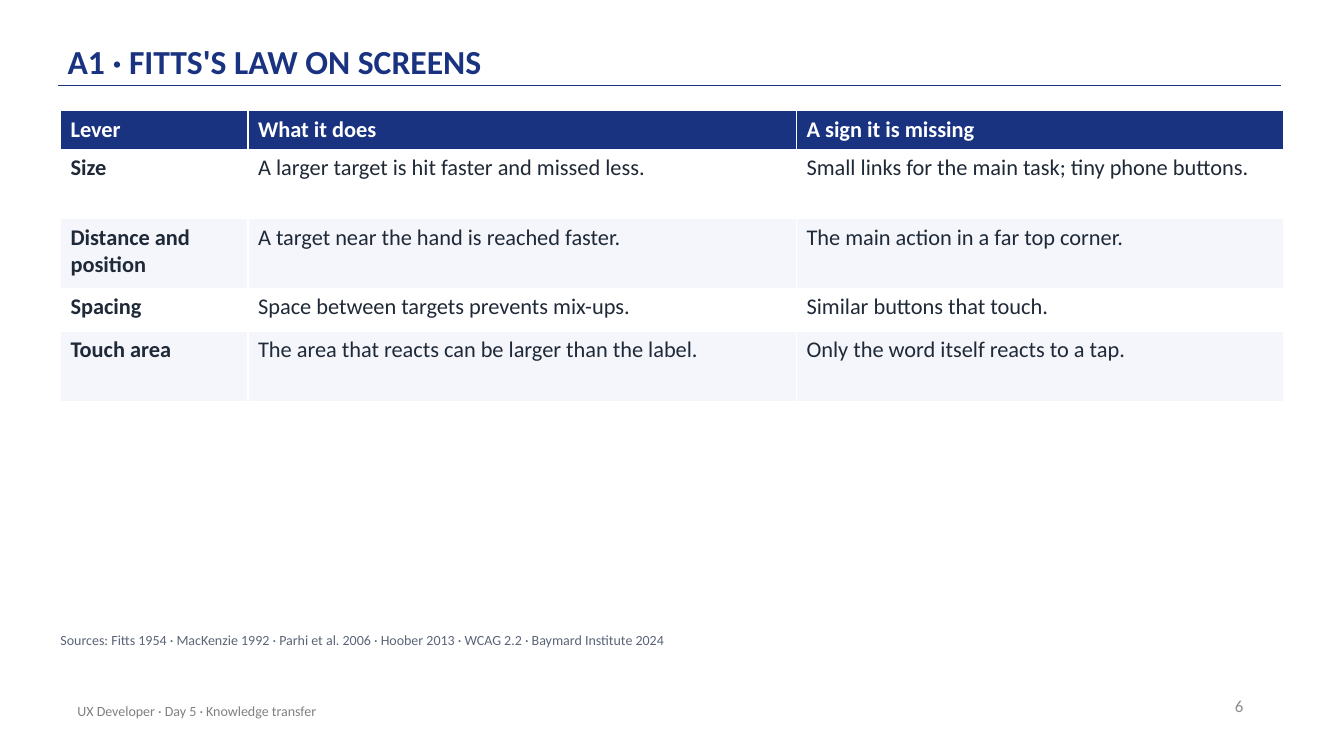
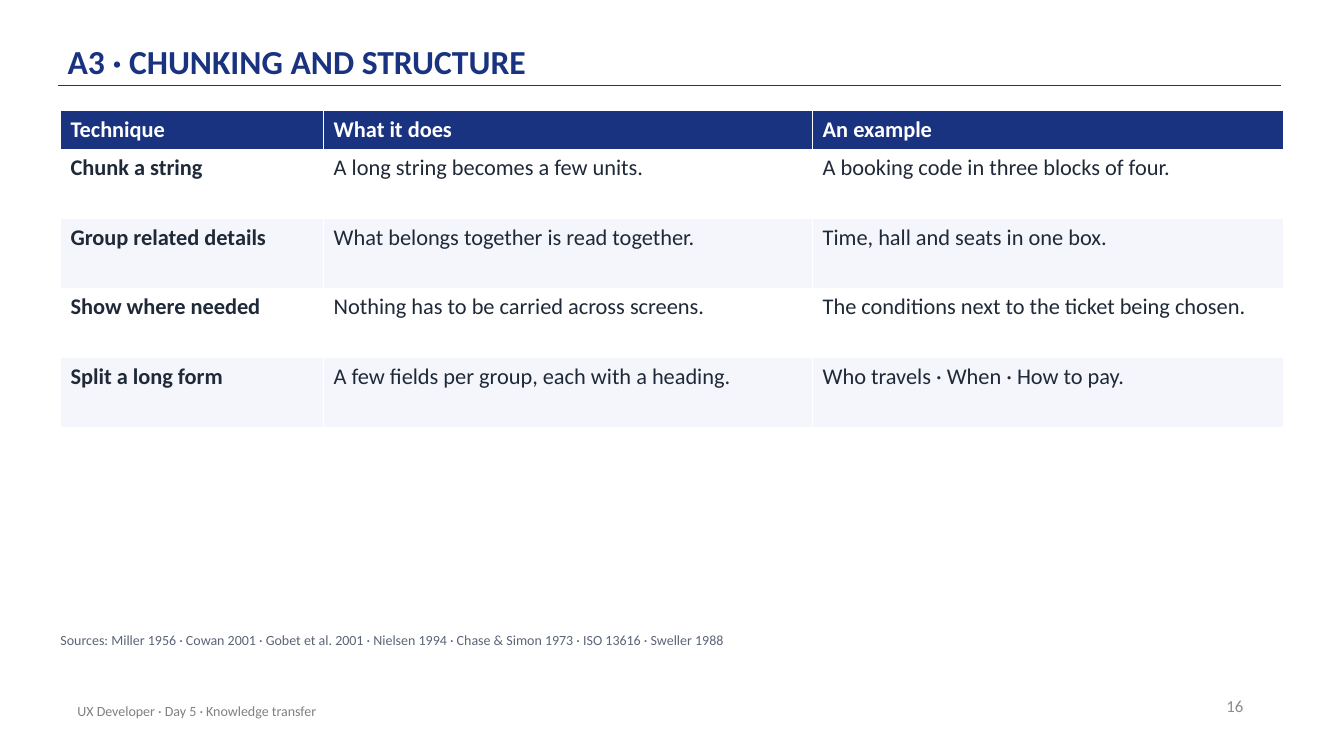
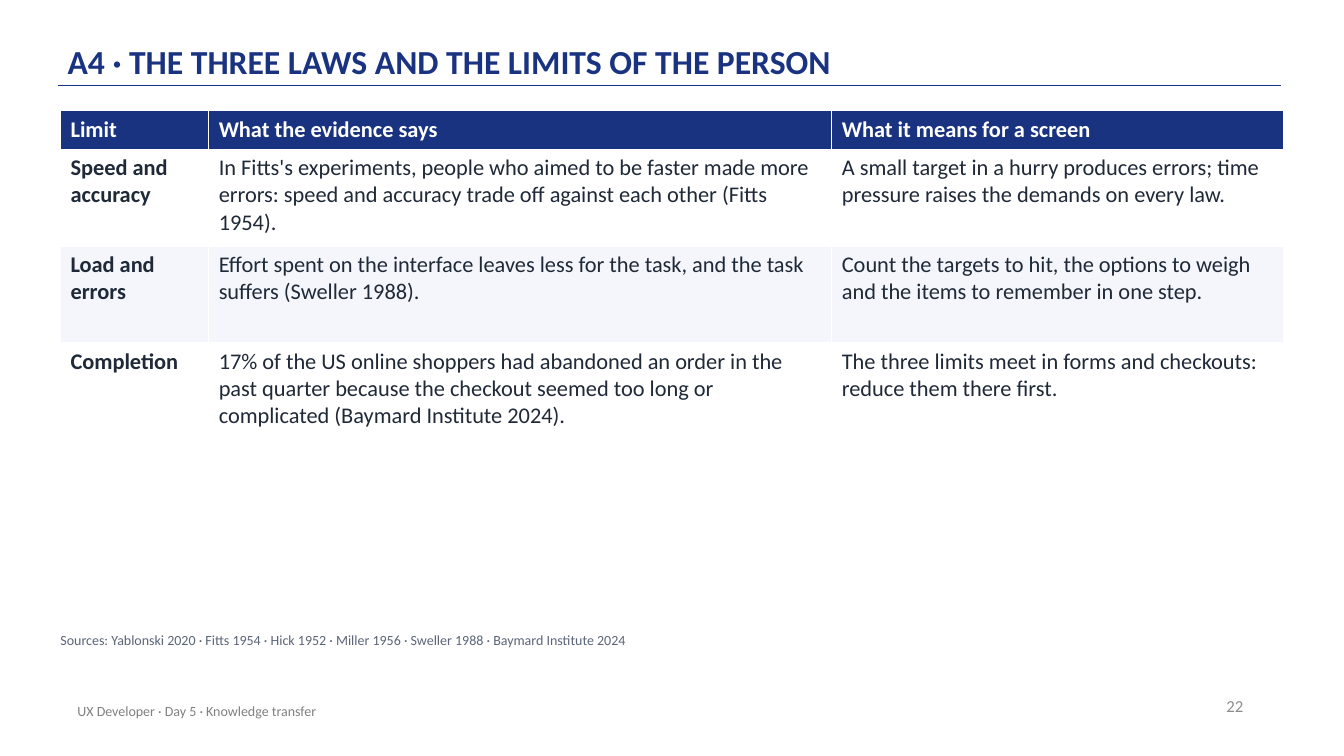
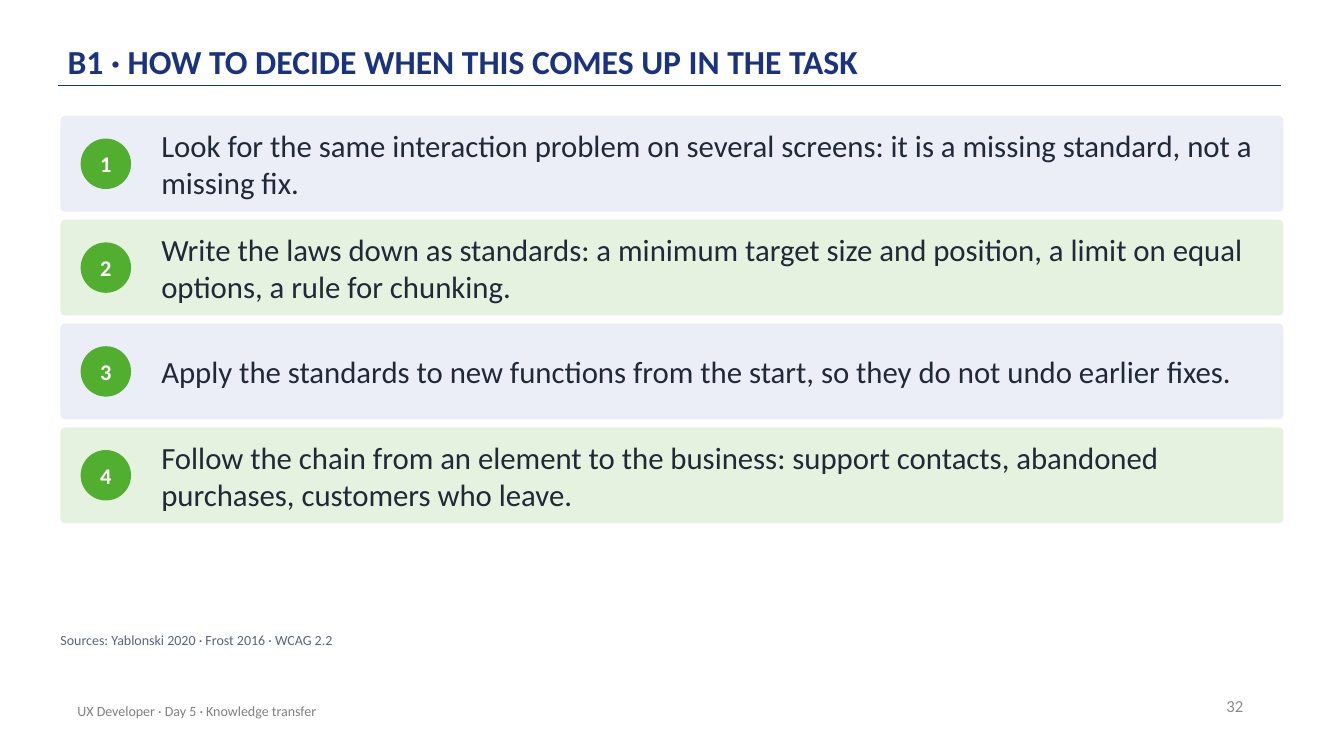
from lxml.etree import SubElement
from pptx import Presentation
from pptx.dml.color import RGBColor
from pptx.enum.shapes import MSO_CONNECTOR, MSO_SHAPE
from pptx.enum.text import MSO_ANCHOR, MSO_AUTO_SIZE, PP_ALIGN
from pptx.oxml.ns import qn
from pptx.util import Inches, Pt

FONT = "Calibri"
NAVY = RGBColor(0x1A, 0x33, 0x81)
INK = RGBColor(0x1F, 0x29, 0x37)
SLATE = RGBColor(0x5B, 0x65, 0x77)
GREY = RGBColor(0x80, 0x80, 0x80)
LIGHT_GREY = RGBColor(0x8C, 0x8C, 0x8C)
WHITE = RGBColor(0xFF, 0xFF, 0xFF)
PALE_ROW = RGBColor(0xF4, 0xF6, 0xFB)
PALE_BLUE = RGBColor(0xEC, 0xEE, 0xF7)
PALE_GREEN = RGBColor(0xE5, 0xF2, 0xDF)
GREEN = RGBColor(0x51, 0xAE, 0x2F)

LEFT = 0.6
CONTENT_WIDTH = 12.13
TITLE_ONLY = 5
FOOTER = "UX Developer · Day 5 · Knowledge transfer"

TABLE_SLIDES = [
    {
        "title": "A1 · FITTS'S LAW ON SCREENS",
        "number": 6,
        "sources": "Sources: Fitts 1954 · MacKenzie 1992 · Parhi et al. 2006 · Hoober 2013"
                   " · WCAG 2.2 · Baymard Institute 2024",
        "columns": [1.86, 5.44, 4.83],
        "heights": [0.38, 0.69, 0.69, 0.43, 0.69],
        "rows": [
            ["Lever", "What it does", "A sign it is missing"],
            ["Size", "A larger target is hit faster and missed less.",
             "Small links for the main task; tiny phone buttons."],
            ["Distance and position", "A target near the hand is reached faster.",
             "The main action in a far top corner."],
            ["Spacing", "Space between targets prevents mix-ups.",
             "Similar buttons that touch."],
            ["Touch area", "The area that reacts can be larger than the label.",
             "Only the word itself reacts to a tap."],
        ],
    },
    {
        "title": "A3 · CHUNKING AND STRUCTURE",
        "number": 16,
        "sources": "Sources: Miller 1956 · Cowan 2001 · Gobet et al. 2001 · Nielsen 1994"
                   " · Chase & Simon 1973 · ISO 13616 · Sweller 1988",
        "columns": [2.61, 4.85, 4.67],
        "heights": [0.38, 0.69, 0.69, 0.69, 0.69],
        "rows": [
            ["Technique", "What it does", "An example"],
            ["Chunk a string", "A long string becomes a few units.",
             "A booking code in three blocks of four."],
            ["Group related details", "What belongs together is read together.",
             "Time, hall and seats in one box."],
            ["Show where needed", "Nothing has to be carried across screens.",
             "The conditions next to the ticket being chosen."],
            ["Split a long form", "A few fields per group, each with a heading.",
             "Who travels · When · How to pay."],
        ],
    },
    {
        "title": "A4 · THE THREE LAWS AND THE LIMITS OF THE PERSON",
        "number": 22,
        "sources": "Sources: Yablonski 2020 · Fitts 1954 · Hick 1952 · Miller 1956"
                   " · Sweller 1988 · Baymard Institute 2024",
        "columns": [1.47, 6.18, 4.48],
        "heights": [0.38, 0.96, 0.96, 0.96],
        "rows": [
            ["Limit", "What the evidence says", "What it means for a screen"],
            ["Speed and accuracy",
             "In Fitts's experiments, people who aimed to be faster made more errors: "
             "speed and accuracy trade off against each other (Fitts 1954).",
             "A small target in a hurry produces errors; time pressure raises the "
             "demands on every law."],
            ["Load and errors",
             "Effort spent on the interface leaves less for the task, and the task "
             "suffers (Sweller 1988).",
             "Count the targets to hit, the options to weigh and the items to "
             "remember in one step."],
            ["Completion",
             "17% of the US online shoppers had abandoned an order in the past quarter "
             "because the checkout seemed too long or complicated (Baymard Institute 2024).",
             "The three limits meet in forms and checkouts: reduce them there first."],
        ],
    },
]

STEPS = [
    "Look for the same interaction problem on several screens: it is a missing "
    "standard, not a missing fix.",
    "Write the laws down as standards: a minimum target size and position, a limit "
    "on equal options, a rule for chunking.",
    "Apply the standards to new functions from the start, so they do not undo "
    "earlier fixes.",
    "Follow the chain from an element to the business: support contacts, abandoned "
    "purchases, customers who leave.",
]


def style_paragraph(paragraph, size, color, bold=False, align=PP_ALIGN.LEFT):
    """Set the font and alignment of one paragraph."""
    paragraph.alignment = align
    font = paragraph.font
    font.name = FONT
    font.size = Pt(size)
    font.bold = bold
    font.color.rgb = color


def set_margins(frame, horizontal, vertical):
    """Set the four inner margins of a text frame in inches."""
    frame.margin_left = frame.margin_right = Inches(horizontal)
    frame.margin_top = frame.margin_bottom = Inches(vertical)


def add_text(slide, box, text, size, color, align=PP_ALIGN.LEFT,
             anchor=MSO_ANCHOR.MIDDLE, margins=(0.1, 0.05)):
    """Add a wrapping one-paragraph text box and return its paragraph."""
    frame = slide.shapes.add_textbox(*map(Inches, box)).text_frame
    frame.word_wrap = True
    frame.vertical_anchor = anchor
    set_margins(frame, *margins)
    paragraph = frame.paragraphs[0]
    paragraph.text = text
    style_paragraph(paragraph, size, color, align=align)
    return paragraph


def add_filled_shape(slide, kind, box, color):
    """Add a flat preset shape without an outline."""
    shape = slide.shapes.add_shape(kind, *map(Inches, box))
    shape.shadow.inherit = False
    shape.fill.solid()
    shape.fill.fore_color.rgb = color
    shape.line.fill.background()
    return shape


def add_title_rule(slide):
    """Draw the thin line under the title."""
    rule = slide.shapes.add_connector(
        MSO_CONNECTOR.STRAIGHT, Inches(0.58), Inches(0.85), Inches(12.71), Inches(0.85))
    rule.line.color.rgb = NAVY
    rule.line.width = Pt(1)
    SubElement(rule._element.spPr, qn("a:effectLst"))


def set_title(slide, text):
    """Place and format the title placeholder."""
    title = slide.shapes.title
    title.left, title.top, title.width, title.height = map(Inches, (0.67, 0.12, 11, 0.72))
    frame = title.text_frame
    frame.text = text
    frame.auto_size = MSO_AUTO_SIZE.NONE
    frame.vertical_anchor = MSO_ANCHOR.BOTTOM
    set_margins(frame, 0, 0.03)
    paragraph = frame.paragraphs[0]
    paragraph.line_spacing = 0.9
    style_paragraph(paragraph, 24, NAVY, bold=True)


def add_content_slide(presentation, title, number, sources):
    """Add a slide with title, rule, page number, footer and sources."""
    slide = presentation.slides.add_slide(presentation.slide_layouts[TITLE_ONLY])
    add_title_rule(slide)
    set_title(slide, title)
    add_text(slide, (9.43, 6.8, 3, 0.4), str(number), 12, LIGHT_GREY, PP_ALIGN.RIGHT)
    add_text(slide, (0.67, 6.85, 6.7, 0.4), FOOTER, 10, GREY)
    paragraph = add_text(slide, (LEFT, 6.27, 12.1, 0.3), sources, 10, SLATE,
                         anchor=MSO_ANCHOR.TOP, margins=(0, 0))
    paragraph.space_after = Pt(6)
    return slide


def add_content_table(slide, columns, heights, rows):
    """Add a table with a navy header, bold first column and striped rows."""
    table = slide.shapes.add_table(
        len(rows), len(columns), Inches(LEFT), Inches(1.1),
        Inches(CONTENT_WIDTH), Inches(sum(heights))).table
    for column, width in zip(table.columns, columns):
        column.width = Inches(width)
    for row_index, (row, height, texts) in enumerate(zip(table.rows, heights, rows)):
        row.height = Inches(height)
        is_header = row_index == 0
        fill = NAVY if is_header else (PALE_ROW, WHITE)[row_index % 2]
        for column_index, (cell, text) in enumerate(zip(row.cells, texts)):
            cell.text = text
            cell.fill.solid()
            cell.fill.fore_color.rgb = fill
            style_paragraph(cell.text_frame.paragraphs[0], 16, WHITE if is_header else INK,
                            bold=is_header or column_index == 0)


def add_step(slide, index, text):
    """Add one numbered step as a tinted band with a badge."""
    height, pitch, badge_size = 0.95, 1.03, 0.5
    top = 1.15 + index * pitch
    band = add_filled_shape(slide, MSO_SHAPE.ROUNDED_RECTANGLE,
                            (LEFT, top, CONTENT_WIDTH, height),
                            (PALE_BLUE, PALE_GREEN)[index % 2])
    band.adjustments[0] = 0.05
    badge = add_filled_shape(slide, MSO_SHAPE.OVAL,
                             (0.8, top + (height - badge_size) / 2, badge_size, badge_size),
                             GREEN)
    frame = badge.text_frame
    frame.text = str(index + 1)
    frame.vertical_anchor = MSO_ANCHOR.MIDDLE
    set_margins(frame, 0, 0)
    style_paragraph(frame.paragraphs[0], 16, WHITE, bold=True, align=PP_ALIGN.CENTER)
    add_text(slide, (1.6, top, 10.93, height), text, 22, INK, margins=(0, 0))


def main():
    """Build the presentation and save it."""
    presentation = Presentation()
    presentation.slide_width = Inches(13.33)
    presentation.slide_height = Inches(7.5)
    for content in TABLE_SLIDES:
        slide = add_content_slide(presentation, content["title"], content["number"],
                                  content["sources"])
        add_content_table(slide, content["columns"], content["heights"], content["rows"])
    slide = add_content_slide(presentation, "B1 · HOW TO DECIDE WHEN THIS COMES UP IN THE TASK",
                              32, "Sources: Yablonski 2020 · Frost 2016 · WCAG 2.2")
    for index, text in enumerate(STEPS):
        add_step(slide, index, text)
    presentation.save("out.pptx")


if __name__ == "__main__":
    main()
